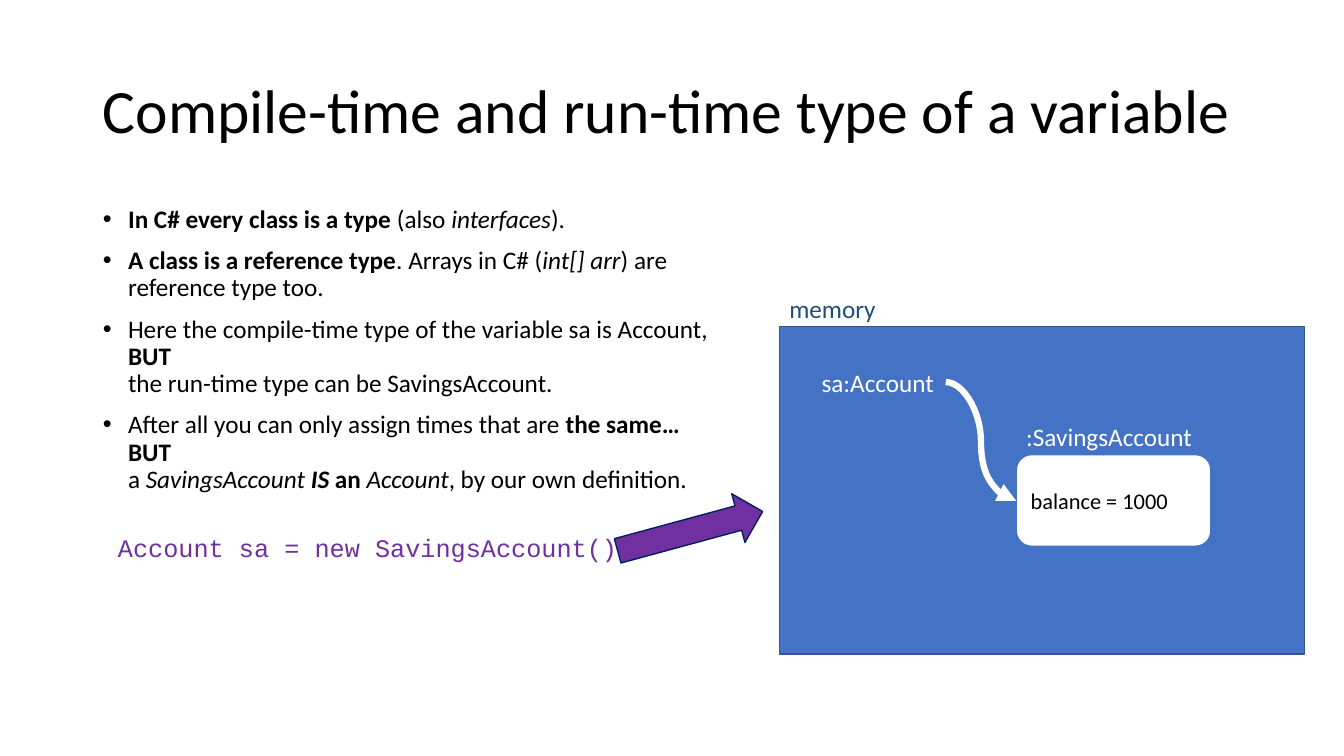
from copy import deepcopy
from dataclasses import dataclass

from lxml.etree import SubElement
from pptx import Presentation
from pptx.dml.color import RGBColor
from pptx.enum.shapes import MSO_CONNECTOR as Connector, MSO_SHAPE as Preset
from pptx.enum.text import MSO_ANCHOR as Anchor, MSO_AUTO_SIZE as AutoSize, PP_ALIGN as Align
from pptx.oxml.ns import qn
from pptx.util import Pt

EMU_PER_PX = 9144


@dataclass(frozen=True)
class Theme:
    body_font: str = "Calibri"
    code_font: str = "Courier New"
    title_size: int = 44
    text_size: int = 18
    field_size: int = 16
    black: str = "000000"
    white: str = "FFFFFF"
    blue: str = "4472C4"
    blue_edge: str = "325491"
    caption: str = "1F4E79"
    purple: str = "7030A0"
    navy: str = "002060"


class SlideBuilder:
    def __init__(self, slide, theme):
        self.slide = slide
        self.theme = theme

    def px(self, *lengths):
        return [length * EMU_PER_PX for length in lengths]

    def style(self, run, size, color, font=None, marks=""):
        run.font.name = font or self.theme.body_font
        run.font.size = Pt(size)
        run.font.color.rgb = RGBColor.from_string(color)
        run.font.bold = "b" in marks
        run.font.italic = "i" in marks

    def place(self, holder, box):
        holder.left, holder.top, holder.width, holder.height = self.px(*box)
        holder.text_frame.auto_size = AutoSize.NONE
        holder.text_frame.word_wrap = True

    def title(self, text, box):
        holder = self.slide.shapes.title
        self.place(holder, box)
        holder.text_frame.text = text
        holder.text_frame.vertical_anchor = Anchor.MIDDLE
        heading = holder.text_frame.paragraphs[0]
        heading.alignment = Align.LEFT
        heading.line_spacing = 0.9
        self.style(heading.runs[0], self.theme.title_size, self.theme.black)

    def body(self, points, code, box):
        holder = self.slide.placeholders[1]
        self.place(holder, box)
        frame = holder.text_frame
        frame.vertical_anchor = Anchor.TOP
        for index, point in enumerate(points):
            paragraph = frame.add_paragraph() if index else frame.paragraphs[0]
            self.spacing(paragraph, 10, 25, -25)
            for text, marks in point:
                self.rich_text(paragraph, text, marks)
        statement = frame.add_paragraph()
        statement.text = code
        self.style(statement.runs[0], self.theme.text_size, self.theme.purple, self.theme.code_font)
        properties = self.spacing(statement, 30, 15, 0)
        SubElement(properties, qn("a:buNone"))

    def rich_text(self, paragraph, text, marks):
        for index, line in enumerate(text.split("\n")):
            if index:
                paragraph.add_line_break()
                line_break = paragraph._p.findall(qn("a:br"))[-1]
                line_break.append(deepcopy(paragraph.runs[0].font._rPr))
            if line:
                run = paragraph.add_run()
                run.text = line
                self.style(run, self.theme.text_size, self.theme.black, marks=marks)

    def spacing(self, paragraph, before, margin, indent):
        paragraph.line_spacing = 0.9
        paragraph.space_before = Pt(before)
        paragraph.space_after = Pt(0)
        properties = paragraph._p.get_or_add_pPr()
        for name, length in zip(("marL", "indent"), self.px(margin, indent)):
            properties.set(name, str(length))
        return properties

    def shape(self, preset, box, fill, edge, text="", rotation=0):
        shape = self.slide.shapes.add_shape(preset, *self.px(*box))
        shape.shadow.inherit = False
        shape.fill.solid()
        shape.fill.fore_color.rgb = RGBColor.from_string(fill)
        shape.line.color.rgb = RGBColor.from_string(edge)
        shape.line.width = Pt(1)
        shape.rotation = rotation
        if text:
            shape.text_frame.text = text
            shape.text_frame.vertical_anchor = Anchor.MIDDLE
            paragraph = shape.text_frame.paragraphs[0]
            paragraph.alignment = Align.LEFT
            self.style(paragraph.runs[0], self.theme.field_size, self.theme.black)

    def label(self, text, box, color):
        frame = self.slide.shapes.add_textbox(*self.px(*box)).text_frame
        frame.word_wrap = False
        frame.auto_size = AutoSize.SHAPE_TO_FIT_TEXT
        frame.text = text
        self.style(frame.paragraphs[0].runs[0], self.theme.text_size, color)

    def reference(self, start, end, color):
        link = self.slide.shapes.add_connector(Connector.CURVE, *self.px(*start, *end))
        link.line.color.rgb = RGBColor.from_string(color)
        link.line.width = Pt(4.5)
        SubElement(link.line._get_or_add_ln(), qn("a:tailEnd"), type="triangle")
        SubElement(link._element.spPr, qn("a:effectLst"))


POINTS = [
    [("In C# every class is a type ", "b"), ("(also ", ""), ("interfaces", "i"), (").", "")],
    [("A class is a reference type", "b"), (". Arrays in C# (", ""), ("int[] arr", "i"),
     (") are reference type too.", "")],
    [("Here the compile-time type of the variable sa is Account, ", ""), ("BUT \n", "b"),
     ("the run-time type can be SavingsAccount.", "")],
    [("After all you can only assign times that are ", ""), ("the same… \nBUT\n", "b"),
     ("a ", ""), ("SavingsAccount ", "i"), ("IS", "bi"), (" an ", "b"), ("Account", "i"),
     (", by our own definition.", "")],
]


def main():
    theme = Theme()
    deck = Presentation()
    deck.slide_width, deck.slide_height = 1333 * EMU_PER_PX, 750 * EMU_PER_PX
    page = SlideBuilder(deck.slides.add_slide(deck.slide_layouts[1]), theme)

    page.title("Compile-time and run-time type of a variable", (92, 40, 1150, 145))
    page.body(POINTS, "Account sa = new SavingsAccount();", (92, 200, 652, 476))

    page.shape(Preset.RECTANGLE, (773, 324, 521, 325), theme.blue, theme.blue_edge)
    page.label("memory", (773, 286, 107, 40), theme.caption)
    page.label("sa:Account", (805, 359, 133, 40), theme.white)
    page.shape(Preset.ROUNDED_RECTANGLE, (1008, 451, 193, 91), theme.white, theme.blue,
               text="balance = 1000")
    page.label(":SavingsAccount", (1008, 413, 186, 40), theme.white)
    page.reference((938, 379), (1008, 497), theme.white)
    page.shape(Preset.RIGHT_ARROW, (610, 502, 149, 50), theme.purple, theme.navy, rotation=344.8)

    deck.save("out.pptx")


if __name__ == "__main__":
    main()
